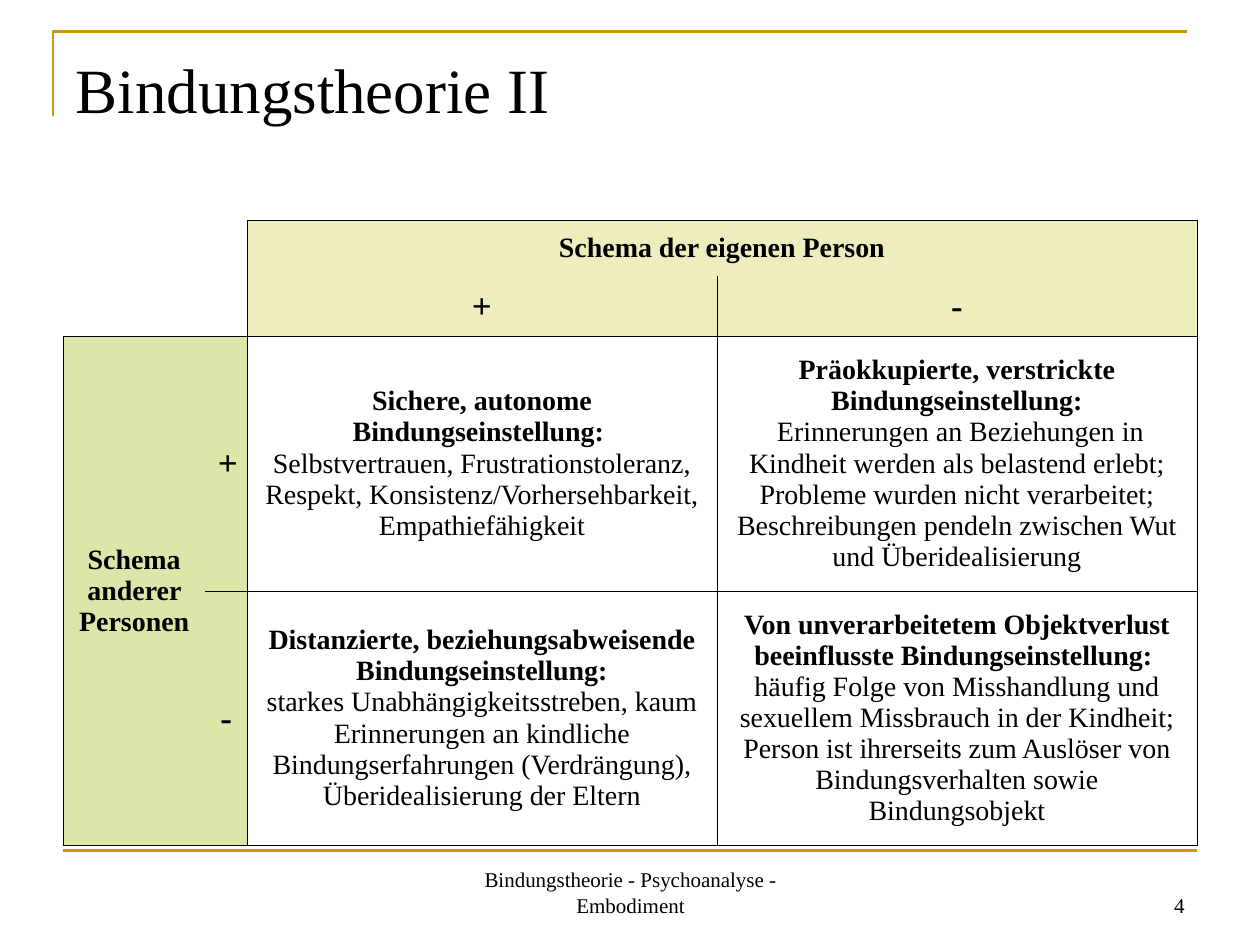
from lxml import etree
from pptx import Presentation
from pptx.dml.color import RGBColor
from pptx.enum.text import MSO_ANCHOR, PP_ALIGN
from pptx.oxml.ns import qn
from pptx.util import Inches, Pt

LEFT, CENTER, RIGHT = PP_ALIGN.LEFT, PP_ALIGN.CENTER, PP_ALIGN.RIGHT
TOP, MIDDLE, BOTTOM = MSO_ANCHOR.TOP, MSO_ANCHOR.MIDDLE, MSO_ANCHOR.BOTTOM

THEME = {
    "font": "Times New Roman", "text": "000000", "accent": "CC9900",
    "header": "EDEDBD", "side": "DEE5A9",
    "title": 36, "sign": 20, "body": 16, "footer": 12,
    "rule": 1.5, "border": 0.45,
}
NO_GRID = "{2D5ABB26-0587-4C30-8999-92F81FD0307C}"


def write(tf, lines, size, align, bold=False):
    """Fill a text frame; bold applies to the first paragraph only."""
    for i, line in enumerate(lines):
        p = tf.paragraphs[0] if i == 0 else tf.add_paragraph()
        p.alignment = align
        r = p.add_run()
        r.text = line
        font = {"name": THEME["font"], "size": Pt(size), "bold": bold and i == 0}
        for key, value in font.items():
            setattr(r.font, key, value)
        r.font.color.rgb = RGBColor.from_string(THEME["text"])


def add_border(cell, sides):
    """Draw the given sides (a subset of LRTB) of a table cell."""
    tcPr = cell._tc.get_or_add_tcPr()
    for i, side in enumerate(sides):
        ln = etree.Element(qn("a:ln" + side), w=str(Pt(THEME["border"])))
        fill = etree.SubElement(ln, qn("a:solidFill"))
        etree.SubElement(fill, qn("a:srgbClr"), val=THEME["text"])
        tcPr.insert(i, ln)


prs = Presentation()
prs.slide_width, prs.slide_height = Inches(10), Inches(7.5)
s = prs.slides.add_slide(prs.slide_layouts[5])

# Corner frame and bottom rule
outline = s.shapes.build_freeform(Inches(0.42), Inches(0.92))
outline.add_line_segments(
    [(Inches(0.42), Inches(0.25)), (Inches(9.42), Inches(0.25))], close=False)
frame = outline.convert_to_shape()
frame.fill.background()
frame.shadow.inherit = False
rule = s.shapes.add_connector(1, Inches(0.5), Inches(6.75), Inches(9.5), Inches(6.75))
etree.SubElement(rule._element.spPr, qn("a:effectLst"))
for sp in (frame, rule):
    sp.line.color.rgb = RGBColor.from_string(THEME["accent"])
    sp.line.width = Pt(THEME["rule"])

# Title
title = s.shapes.title
title.left, title.top, title.width, title.height = map(Inches, (0.5, 0.3, 9, 1.25))
tf = title.text_frame
tf.vertical_anchor = TOP
tf.margin_top = Inches(0.1)
write(tf, ["Bindungstheorie II"], THEME["title"], LEFT)

# Table grid
table_frame = s.shapes.add_table(4, 4, Inches(0.5), Inches(1.75), Inches(9), Inches(4.95))
table = table_frame.table
table.first_row = table.horz_banding = False
table._tbl.tblPr.find(qn("a:tableStyleId")).text = NO_GRID
for column, width in zip(table.columns, (1.13, 0.33, 3.73, 3.81)):
    column.width = Inches(width)
for row, height in zip(table.rows, (0.44, 0.48, 2.02, 2.02)):
    row.height = Inches(height)
for first, last in (((0, 0), (1, 1)), ((0, 2), (0, 3)), ((2, 0), (3, 0))):
    table.cell(*first).merge(table.cell(*last))

# Outlined blocks: first row, first column, last row, last column, fill
blocks = [(0, 2, 1, 3, THEME["header"]), (2, 0, 3, 1, THEME["side"])]
blocks += [(r, c, r, c, None) for r in (2, 3) for c in (2, 3)]
for r0, c0, r1, c1, color in blocks:
    for row in range(r0, r1 + 1):
        for col in range(c0, c1 + 1):
            cell = table.cell(row, col)
            edges = {
                "L": col == c0,
                "R": col + cell.span_width - 1 == c1,
                "T": row == r0,
                "B": row + cell.span_height - 1 == r1,
            }
            add_border(cell, [side for side, on in edges.items() if on])
            if color:
                cell.fill.solid()
                cell.fill.fore_color.rgb = RGBColor.from_string(color)

# Table text
cell_text = {
    (0, 2): ["Schema der eigenen Person"],
    (1, 2): ["+"],
    (1, 3): ["-"],
    (2, 0): ["Schema anderer Personen"],
    (2, 1): ["+"],
    (3, 1): ["-"],
    (2, 2): ["Sichere, autonome Bindungseinstellung: ",
             "Selbstvertrauen, Frustrationstoleranz, Respekt, "
             "Konsistenz/Vorhersehbarkeit, Empathiefähigkeit"],
    (2, 3): ["Präokkupierte, verstrickte Bindungseinstellung:",
             " Erinnerungen an Beziehungen in Kindheit werden als belastend erlebt; "
             "Probleme wurden nicht verarbeitet; Beschreibungen pendeln zwischen "
             "Wut und Überidealisierung"],
    (3, 2): ["Distanzierte, beziehungsabweisende Bindungseinstellung:",
             "starkes Unabhängigkeitsstreben, kaum Erinnerungen an kindliche "
             "Bindungserfahrungen (Verdrängung), Überidealisierung der Eltern"],
    (3, 3): ["Von unverarbeitetem Objektverlust beeinflusste Bindungseinstellung: ",
             "häufig Folge von Misshandlung und sexuellem Missbrauch in der Kindheit; "
             "Person ist ihrerseits zum Auslöser von Bindungsverhalten sowie "
             "Bindungsobjekt"],
}
for (row, col), lines in cell_text.items():
    cell = table.cell(row, col)
    cell.vertical_anchor = MIDDLE
    size = THEME["sign"] if lines[0] in "+-" else THEME["body"]
    write(cell.text_frame, lines, size, CENTER, bold=True)

# Footer and page number
for left, width, text, align in (
    (3.42, 3.17, "Bindungstheorie - Psychoanalyse - Embodiment", CENTER),
    (7.17, 2.33, "4", RIGHT),
):
    tf = s.shapes.add_textbox(Inches(left), Inches(6.83), Inches(width), Inches(0.5)).text_frame
    tf.word_wrap = True
    tf.vertical_anchor = BOTTOM
    write(tf, [text], THEME["footer"], align)

prs.save("out.pptx")
